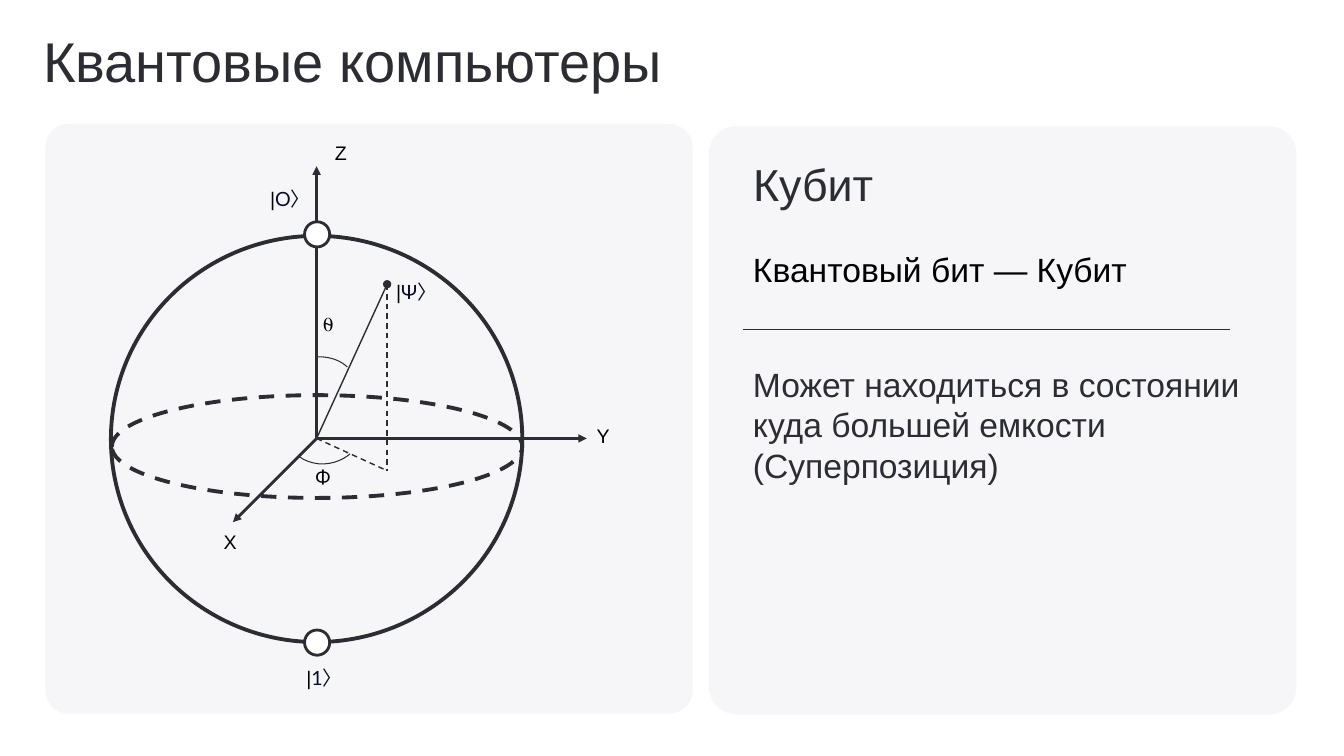
from lxml import etree
from pptx import Presentation
from pptx.dml.color import RGBColor
from pptx.enum.dml import MSO_LINE
from pptx.enum.shapes import MSO_CONNECTOR, MSO_SHAPE
from pptx.enum.text import MSO_ANCHOR, MSO_AUTO_SIZE, PP_ALIGN
from pptx.oxml.ns import qn
from pptx.util import Inches, Pt

STRAIGHT = MSO_CONNECTOR.STRAIGHT
ROUNDED, OVAL, ARC = MSO_SHAPE.ROUNDED_RECTANGLE, MSO_SHAPE.OVAL, MSO_SHAPE.ARC
DASH = MSO_LINE.DASH
TOP, MIDDLE = MSO_ANCHOR.TOP, MSO_ANCHOR.MIDDLE
LEFT, CENTER = PP_ALIGN.LEFT, PP_ALIGN.CENTER
FIT_TEXT = MSO_AUTO_SIZE.SHAPE_TO_FIT_TEXT

INK, BLACK, NAVY = "2B2D33", "000000", "040C28"
PANEL, WHITE = "F6F6F8", "FFFFFF"
ORIGIN = (3.14, 4.35)
STATE = (3.84, 2.82)
PROJECTION = (3.84, 4.67)


def color(hex_value):
    """Turn a hex string into a colour."""
    return RGBColor.from_string(hex_value)


def style_line(line, hex_value, width, dash=None):
    """Set the colour, width and dash of a line."""
    line.color.rgb = color(hex_value)
    line.width = Pt(width)
    if dash:
        line.dash_style = dash


def add_figure(slide, kind, box, fill=None, line=None, width=1, dash=None):
    """Add a preset shape with an optional fill and outline."""
    figure = slide.shapes.add_shape(kind, *map(Inches, box))
    figure.shadow.inherit = False
    if fill:
        figure.fill.solid()
        figure.fill.fore_color.rgb = color(fill)
    else:
        figure.fill.background()
    if line:
        style_line(figure.line, line, width, dash)
    else:
        figure.line.fill.background()
    return figure


def add_panel(slide, box, corner, line=None):
    """Add a rounded background panel."""
    panel = add_figure(slide, ROUNDED, box, PANEL, line, 3)
    panel.adjustments[0] = corner


def add_angle(slide, box, start, end, rotation=0):
    """Add an angle mark running between two directions in degrees."""
    angle = add_figure(slide, ARC, box, line=INK, width=0.75)
    angle.adjustments[0] = start * 0.6
    angle.adjustments[1] = end * 0.6
    angle.rotation = rotation


def add_segment(slide, start, end, width, head=None, dash=None):
    """Add a straight line with an optional head at its start."""
    segment = slide.shapes.add_connector(STRAIGHT, *map(Inches, start + end))
    style_line(segment.line, INK, width, dash)
    if head:
        outline = segment.line._get_or_add_ln()
        etree.SubElement(outline, qn("a:headEnd"), type=head)
    etree.SubElement(segment._element.spPr, qn("a:effectLst"))


def add_text(slide, box, text, size, hex_value, anchor=TOP, spacing=None):
    """Add a wrapped Arial text block."""
    frame = slide.shapes.add_textbox(*map(Inches, box)).text_frame
    frame.word_wrap = True
    frame.vertical_anchor = anchor
    paragraph = frame.paragraphs[0]
    paragraph.text = text
    paragraph.line_spacing = spacing
    paragraph.font.name = "Arial"
    paragraph.font.size = Pt(size)
    paragraph.font.color.rgb = color(hex_value)


def add_label(slide, box, parts, align=LEFT, wrap=False):
    """Add a diagram label made of (text, font, colour) parts."""
    frame = slide.shapes.add_textbox(*map(Inches, box)).text_frame
    frame.word_wrap = wrap
    frame.auto_size = FIT_TEXT
    paragraph = frame.paragraphs[0]
    paragraph.alignment = align
    paragraph.font.size = Pt(14)
    for text, font, hex_value in parts:
        run = paragraph.add_run()
        run.text = text
        run.font.name = font
        run.font.color.rgb = color(hex_value)


def add_ket(slide, box, symbol):
    """Add a quantum state label in ket notation."""
    add_label(slide, box, [("|", "Arial", BLACK), (symbol + "〉", "Lato", NAVY)])


def add_bloch_sphere(slide):
    """Draw the sphere with its axes, state vector and labels."""
    add_figure(slide, OVAL, (1.11, 3.92, 4.07, 1.02), None, INK, 2.75, DASH)
    for axis_tip in ((3.14, 1.65), (5.82, 4.35), (2.31, 5.18)):
        add_segment(slide, axis_tip, ORIGIN, 2, "triangle")
    add_segment(slide, STATE, ORIGIN, 1, "oval")
    add_segment(slide, STATE, PROJECTION, 1, dash=DASH)
    add_segment(slide, ORIGIN, PROJECTION, 1, dash=DASH)
    add_angle(slide, (2.82, 3.54, 0.7, 0.53), 264.14, 329.36)
    add_angle(slide, (2.8, 3.81, 0.82, 0.79), 252.06, 330.82, 156.5)
    add_figure(slide, OVAL, (1.1, 2.34, 4.08, 4.03), None, INK, 2.75)

    add_label(slide, (3.22, 1.35, 0.32, 0.34), [("Z", "Arial", BLACK)], CENTER)
    add_label(slide, (2.12, 5.21, 0.4, 0.4), [("X", "Arial", BLACK)])
    add_label(slide, (5.82, 4.16, 0.4, 0.4), [("Y", "Arial", BLACK)])
    add_ket(slide, (3.83, 2.73, 0.71, 0.4), "Ψ")
    add_ket(slide, (2.58, 1.81, 0.69, 0.4), "O")
    add_label(slide, (3.1, 3.05, 0.41, 0.4), [("⍬", "Arial", BLACK)])
    add_label(slide, (3.03, 4.56, 0.35, 0.4), [("Ф", "Roboto", BLACK)], wrap=True)
    for pole_top in (2.2, 6.25):
        add_figure(slide, OVAL, (3.02, pole_top, 0.25, 0.25), WHITE, INK, 2)
    add_ket(slide, (2.94, 6.56, 0.65, 0.4), "1")


def add_definition(slide):
    """Write the qubit definition in the right panel."""
    add_text(slide, (7.37, 1.51, 3.42, 0.71), "Кубит", 32, INK)
    add_text(slide, (7.37, 2.37, 5.2, 0.6), "Квантовый бит — Кубит", 24, BLACK, MIDDLE)
    add_text(slide, (7.37, 3.56, 5.2, 0.6),
             "Может находиться в состоянии куда большей емкости (Суперпозиция)", 24, INK)
    add_segment(slide, (7.37, 3.27), (12.2, 3.27), 0.75)


def main():
    """Build and save the slide."""
    deck = Presentation()
    deck.slide_width, deck.slide_height = Inches(13.33), Inches(7.5)
    slide = deck.slides.add_slide(deck.slide_layouts[6])
    add_panel(slide, (0.45, 1.23, 6.42, 5.85), 0.04)
    add_panel(slide, (7.01, 1.23, 5.87, 5.88), 0.05, WHITE)
    add_text(slide, (0.33, 0.31, 8.21, 0.65), "Квантовые компьютеры", 40, INK, MIDDLE, 0.9)
    add_bloch_sphere(slide)
    add_definition(slide)
    deck.save("out.pptx")


if __name__ == "__main__":
    main()
